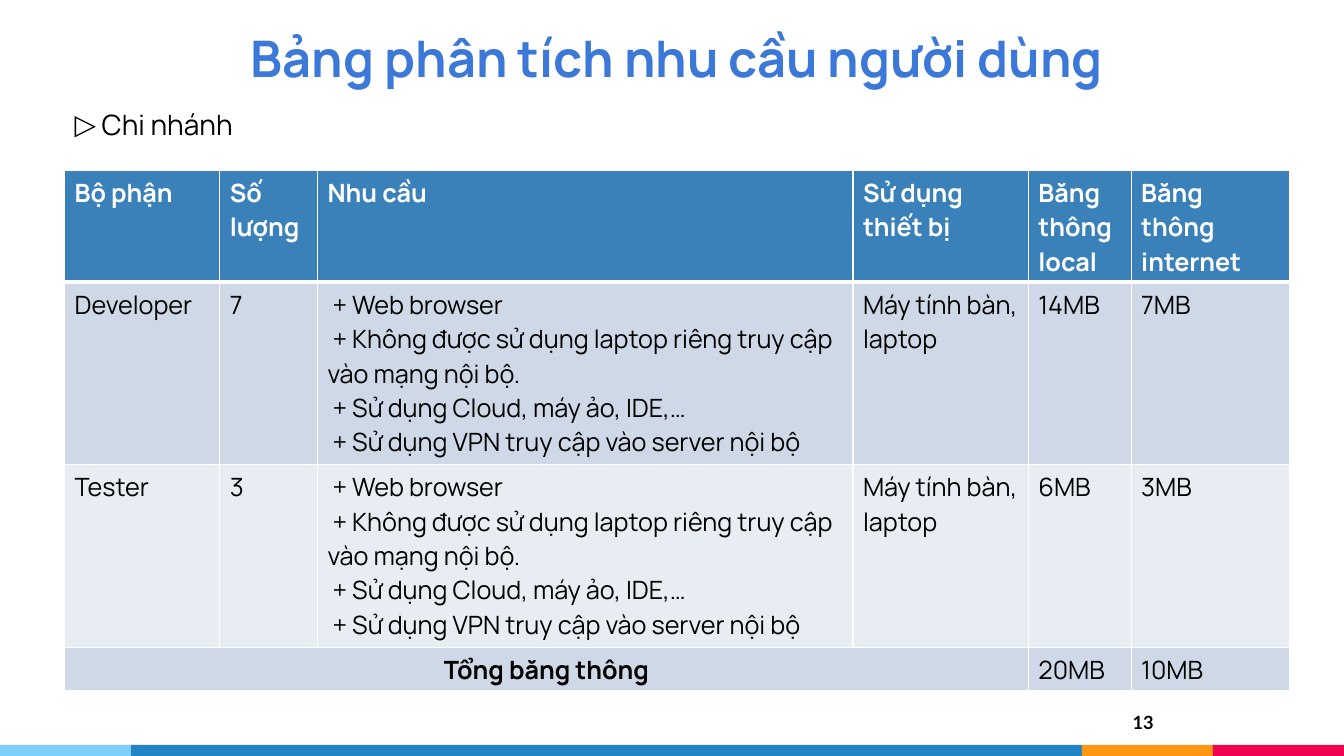
"""Build the slide on user needs and bandwidth at the branch office."""
import pptx
import pptx.util
import pptx.dml.color
import pptx.enum.shapes
import pptx.enum.text
import pptx.oxml.ns
import lxml.etree

Inches = pptx.util.Inches
Align = pptx.enum.text.PP_ALIGN
Anchor = pptx.enum.text.MSO_ANCHOR
qn = pptx.oxml.ns.qn

COLORS = {
    "title": "3C78D8", "text": "000000", "white": "FFFFFF",
    "header": "3A81BA", "band": "CED8E7", "light": "E8EDF3",
    "sky": "7ECEFD", "blue": "2185C5", "orange": "FF9715", "red": "F20253",
}


def color(name):
    return pptx.dml.color.RGBColor.from_string(COLORS[name])


def write(frame, text, size=18, font="Manrope", ink="text", bold=False, align=Align.LEFT):
    for index, line in enumerate(text.split("\n")):
        para = frame.paragraphs[0] if index == 0 else frame.add_paragraph()
        para.alignment = align
        span = para.add_run()
        span.text = line
        span.font.size = pptx.util.Pt(size)
        span.font.name = font
        span.font.bold = bold
        span.font.color.rgb = color(ink)


deck = pptx.Presentation()
deck.slide_width, deck.slide_height = Inches(13.33), Inches(7.5)
page = deck.slides.add_slide(deck.slide_layouts[1])

left = 0
for name, width in [("sky", 1.3), ("blue", 9.43), ("orange", 1.3), ("red", 1.3)]:
    stripe = page.shapes.add_shape(
        pptx.enum.shapes.MSO_SHAPE.RECTANGLE, Inches(left), Inches(7.39), Inches(width), Inches(0.11))
    stripe.shadow.inherit = False
    stripe.fill.solid()
    stripe.fill.fore_color.rgb = color(name)
    stripe.line.fill.background()
    left += width

title = page.shapes.title
title.left, title.top, title.width, title.height = map(Inches, (1.89, 0.06, 9.65, 0.91))
number = page.shapes.add_textbox(Inches(10.94), Inches(6.96), Inches(0.6), Inches(0.46))
for box in (title, number):
    frame = box.text_frame
    frame.word_wrap = True
    frame.auto_size = pptx.enum.text.MSO_AUTO_SIZE.NONE
    frame.margin_left = frame.margin_right = frame.margin_top = frame.margin_bottom = Inches(0.1)
title.text_frame.vertical_anchor = Anchor.BOTTOM
write(title.text_frame, "Bảng phân tích nhu cầu người dùng", size=36, ink="title", bold=True, align=Align.CENTER)
write(number.text_frame, "13", size=13, font="Lato", bold=True, align=Align.RIGHT)

branch = page.placeholders[1]
branch.left, branch.top, branch.width, branch.height = map(Inches, (0.64, 1.02, 1.8, 0.44))
frame = branch.text_frame
frame.word_wrap = False
frame.auto_size = pptx.enum.text.MSO_AUTO_SIZE.SHAPE_TO_FIT_TEXT
frame.vertical_anchor = Anchor.TOP
write(frame, " Chi nhánh", size=20, align=Align.JUSTIFY)
para = frame.paragraphs[0]
para.space_before, para.space_after = pptx.util.Pt(0), pptx.util.Pt(6)
props = para._p.get_or_add_pPr()
props.set("marL", "0")
props.set("indent", "0")
bullet_color = lxml.etree.SubElement(props, qn("a:buClr"))
lxml.etree.SubElement(bullet_color, qn("a:srgbClr"), val=COLORS["text"])
lxml.etree.SubElement(props, qn("a:buChar"), char="▷")

needs = "\n".join([
    " + Web browser",
    " + Không được sử dụng laptop riêng truy cập vào mạng nội bộ.",
    " + Sử dụng Cloud, máy ảo, IDE,…",
    " + Sử dụng VPN truy cập vào server nội bộ",
])
devices = "Máy tính bàn, laptop"
rows = [
    ["Bộ phận", "Số lượng", "Nhu cầu", "Sử dụng thiết bị", "Băng thông local", "Băng thông internet"],
    ["Developer", "7", needs, devices, "14MB", "7MB"],
    ["Tester", "3", needs, devices, "6MB", "3MB"],
    ["Tổng băng thông", "", "", "", "20MB", "10MB"],
]
widths = [1.54, 0.97, 5.31, 1.74, 1.02, 1.57]
heights = [1.11, 1.81, 1.81, 0.43]
fills = ["header", "band", "light", "band"]

table = page.shapes.add_table(
    len(rows), len(widths), Inches(0.64), Inches(1.69), Inches(sum(widths)), Inches(sum(heights))).table
for column, width in zip(table.columns, widths):
    column.width = Inches(width)
for row, height in zip(table.rows, heights):
    row.height = Inches(height)
table.cell(3, 0).merge(table.cell(3, 3))

for r, row in enumerate(rows):
    for c, text in enumerate(row):
        cell = table.cell(r, c)
        cell_props = cell._tc.get_or_add_tcPr()
        for side in "LRTB":
            thick = (r == 0 and side == "B") or (r == 1 and side == "T")
            edge = lxml.etree.SubElement(
                cell_props, qn("a:ln" + side), w=str(pptx.util.Pt(3 if thick else 1)))
            paint = lxml.etree.SubElement(edge, qn("a:solidFill"))
            lxml.etree.SubElement(paint, qn("a:srgbClr"), val=COLORS["white"])
        cell.fill.solid()
        cell.fill.fore_color.rgb = color(fills[r])
        if text:
            total = r == 3 and c == 0
            write(cell.text_frame, text, ink="white" if r == 0 else "text",
                  bold=r == 0 or total, align=Align.CENTER if total else Align.LEFT)

deck.save("out.pptx")
